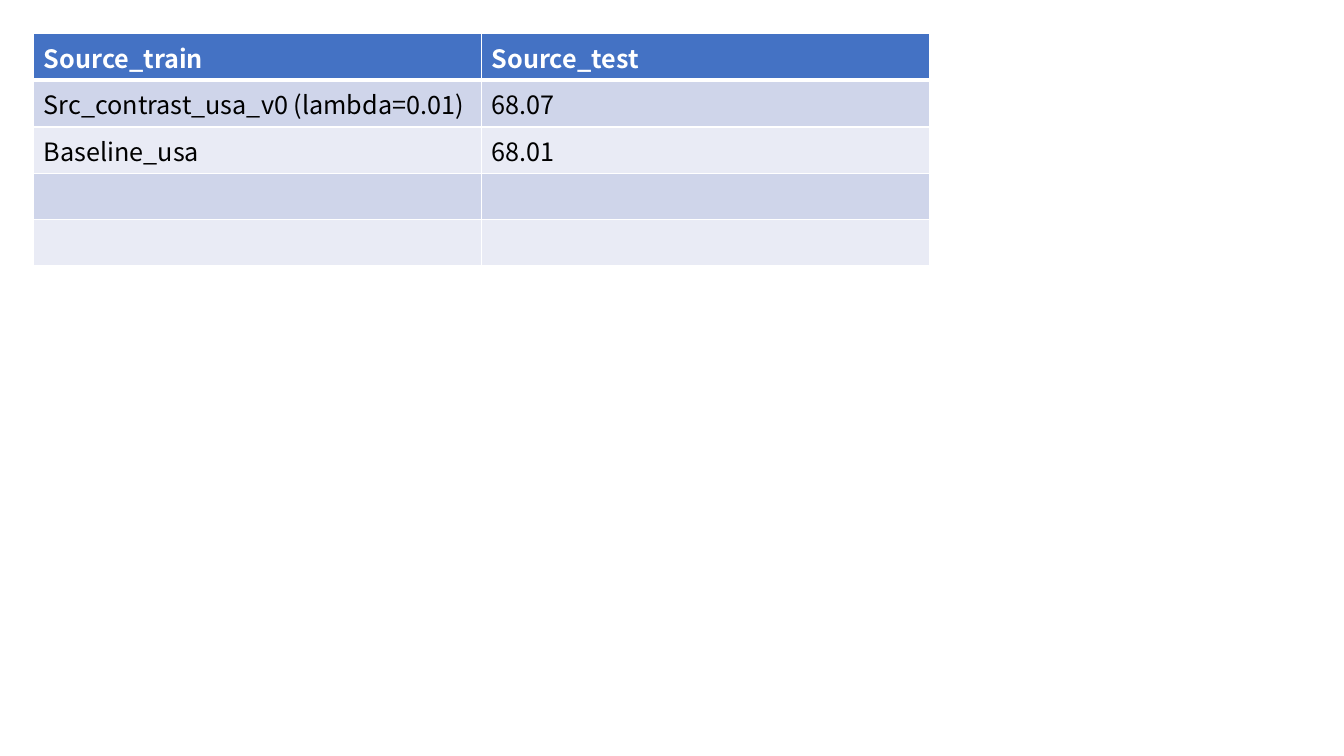
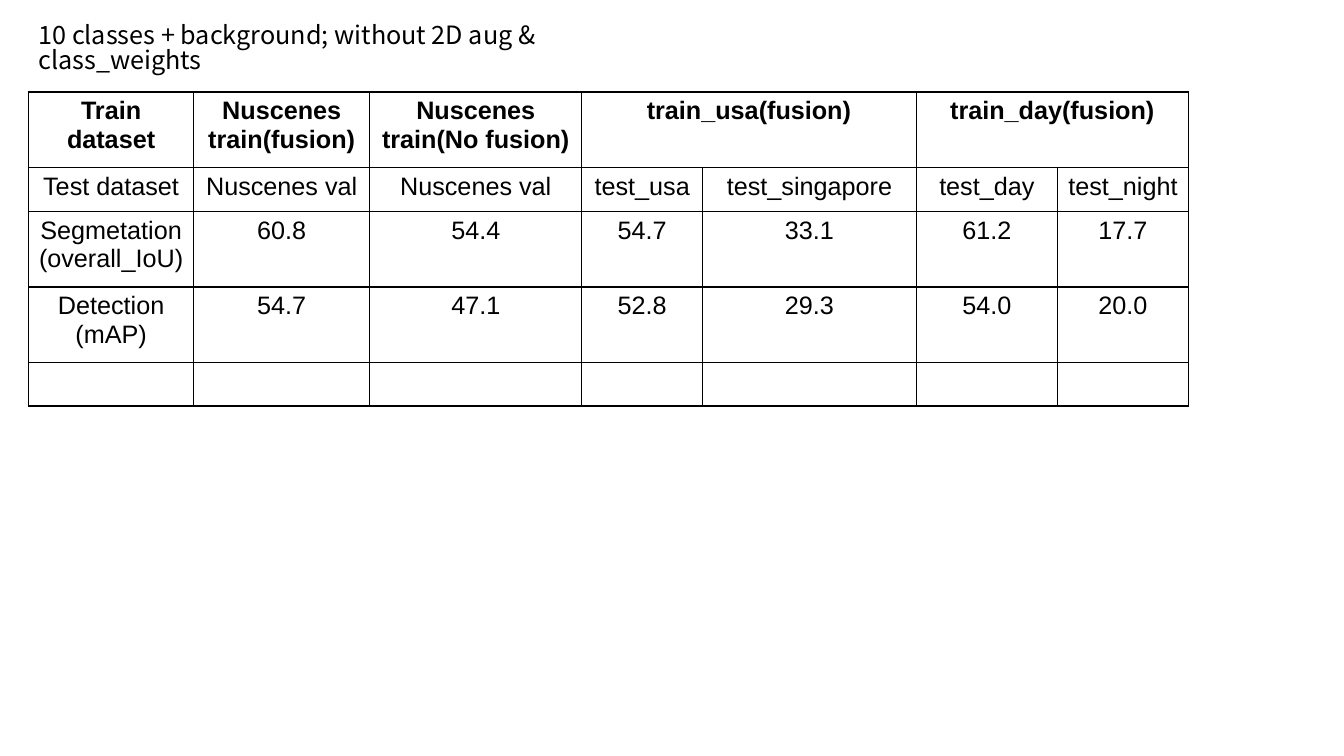
from dataclasses import dataclass

from lxml.etree import SubElement
from pptx import Presentation
from pptx.dml.color import RGBColor
from pptx.enum.text import PP_ALIGN
from pptx.oxml.ns import qn
from pptx.slide import Slide
from pptx.table import _Cell
from pptx.text.text import TextFrame
from pptx.util import Cm, Pt

BLACK, WHITE, BLUE = "000000", "FFFFFF", "4472C4"
BANDS = ("CFD5EA", "E9EBF5")
SANS, ARIAL = "Noto Sans CJK SC", "Arial"


@dataclass(frozen=True)
class Grid:
    left: float
    top: float
    cols: tuple[float, ...]
    rows: tuple[float, ...]
    cells: tuple[tuple[str, ...], ...]
    font: str
    line: str
    head: str = BLACK
    align: PP_ALIGN = PP_ALIGN.LEFT
    banded: bool = False
    spans: tuple[int, ...] = ()


SCORES = Grid(
    left=0.85, top=0.85, cols=(11.29,) * 2, rows=(1.16,) * 5,
    cells=(
        ("Source_train", "Source_test"),
        ("Src_contrast_usa_v0 (lambda=0.01)", "68.07"),
        ("Baseline_usa", "68.01"),
    ),
    font=SANS, line=WHITE, head=WHITE, banded=True,
)

RESULTS = Grid(
    left=0.72, top=2.32,
    cols=(4.16, 4.44, 5.34, 3.05, 5.38, 3.56, 3.3),
    rows=(1.9, 1.11, 1.9, 1.9, 1.1),
    cells=(
        ("Train dataset", "Nuscenes train(fusion)", "Nuscenes train(No fusion)",
         "train_usa(fusion)", "", "train_day(fusion)", ""),
        ("Test dataset", "Nuscenes val", "Nuscenes val", "test_usa",
         "test_singapore", "test_day", "test_night"),
        ("Segmetation\n(overall_IoU)", "60.8", "54.4", "54.7", "33.1", "61.2", "17.7"),
        ("Detection\n(mAP)", "54.7", "47.1", "52.8", "29.3", "54.0", "20.0"),
    ),
    font=ARIAL, line=BLACK, align=PP_ALIGN.CENTER, spans=(3, 5),
)


def color(code: str) -> RGBColor:
    return RGBColor.from_string(code)


def write(frame: TextFrame, text: str, font: str, ink: str = BLACK,
          bold: bool = False, align: PP_ALIGN = PP_ALIGN.LEFT) -> None:
    frame.text = text
    for para in frame.paragraphs:
        para.alignment = align
        for run in para.runs:
            run.font.name = font
            run.font.size = Pt(18)
            run.font.bold = bold
            run.font.color.rgb = color(ink)


def border(cell: _Cell, ink: str, top: float, base: float) -> None:
    props = cell._tc.get_or_add_tcPr()
    sides = (("a:lnL", 1), ("a:lnR", 1), ("a:lnT", top), ("a:lnB", base))
    for spot, (tag, width) in enumerate(sides):
        edge = SubElement(props, qn(tag), w=str(Pt(width)))
        fill = SubElement(edge, qn("a:solidFill"))
        SubElement(fill, qn("a:srgbClr"), val=ink)
        props.insert(spot, edge)


def paint(cell: _Cell, grid: Grid, row: int) -> None:
    if grid.banded:
        cell.fill.solid()
        shade = BANDS[(row - 1) % 2] if row else BLUE
        cell.fill.fore_color.rgb = color(shade)
    else:
        cell.fill.background()
    top = 3 if grid.banded and row == 1 else 1
    base = 3 if grid.banded and row == 0 else 1
    border(cell, grid.line, top, base)


def draw(slide: Slide, grid: Grid) -> None:
    table = slide.shapes.add_table(
        len(grid.rows), len(grid.cols), Cm(grid.left), Cm(grid.top),
        Cm(sum(grid.cols)), Cm(sum(grid.rows))).table
    table.first_row = grid.banded
    table.horz_banding = grid.banded
    for col, width in zip(table.columns, grid.cols):
        col.width = Cm(width)
    for row, height in enumerate(grid.rows):
        table.rows[row].height = Cm(height)
        for cell in table.rows[row].cells:
            paint(cell, grid, row)
    for row, texts in enumerate(grid.cells):
        ink = BLACK if row else grid.head
        for col, text in enumerate(texts):
            if text:
                write(table.cell(row, col).text_frame, text, grid.font,
                      ink, row == 0, grid.align)
    for col in grid.spans:
        table.cell(0, col).merge(table.cell(0, col + 1))


def label(slide: Slide, text: str) -> None:
    box = slide.shapes.add_textbox(Cm(0.72), Cm(0.5), Cm(16.36), Cm(1.02))
    frame = box.text_frame
    frame.word_wrap = True
    write(frame, text, SANS)
    frame.paragraphs[0].line_spacing = 0.83


def main() -> None:
    deck = Presentation()
    deck.slide_width, deck.slide_height = Cm(33.87), Cm(19.05)
    blank = deck.slide_layouts[6]
    draw(deck.slides.add_slide(blank), SCORES)
    slide = deck.slides.add_slide(blank)
    draw(slide, RESULTS)
    label(slide, "10 classes + background; without 2D aug & class_weights")
    deck.save("out.pptx")


if __name__ == "__main__":
    main()
